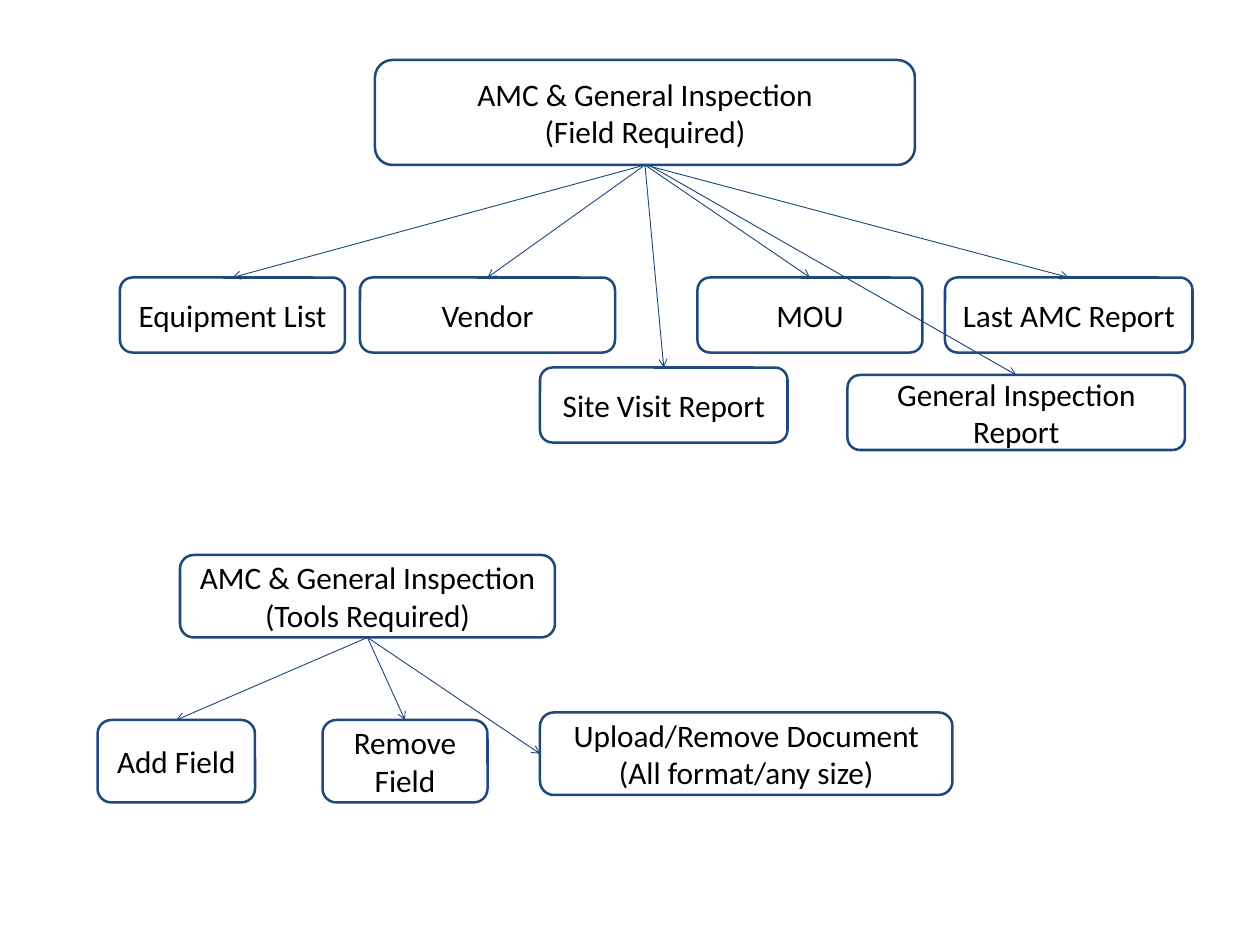
from dataclasses import dataclass

from pptx import Presentation
from pptx.dml.color import RGBColor
from pptx.enum.shapes import MSO_CONNECTOR as Connector, MSO_SHAPE as Preset
from pptx.enum.text import MSO_ANCHOR as Anchor, PP_ALIGN as Align
from pptx.oxml.ns import qn
from pptx.shapes.autoshape import Shape
from pptx.slide import Slide
from pptx.util import Pt
from lxml.etree import SubElement

TOP, LEFT, BOTTOM = 0, 1, 2


@dataclass(frozen=True)
class Theme:
    outline: RGBColor = RGBColor(0x1F, 0x49, 0x7D)
    fill: RGBColor = RGBColor(0xFF, 0xFF, 0xFF)
    text: RGBColor = RGBColor(0, 0, 0)
    font: str = "Calibri"
    text_size: float = 25
    box_line: float = 2
    arrow_line: float = 0.75


@dataclass(frozen=True)
class Box:
    lines: tuple[str, ...]
    left: float
    top: float
    width: float
    height: float
    entry_side: int = TOP
    start_shift: float = 0


@dataclass(frozen=True)
class Tree:
    root: Box
    children: tuple[Box, ...]


THEME = Theme()
FIELD_TOP, FIELD_HEIGHT = 222, 60
TOOL_TOP, TOOL_HEIGHT = 576, 66

TREES = (
    Tree(
        Box(("AMC & General Inspection", "(Field Required)"), 300, 48, 432, 84),
        (
            Box(("Equipment List",), 96, FIELD_TOP, 180, FIELD_HEIGHT),
            Box(("Vendor",), 288, FIELD_TOP, 204, FIELD_HEIGHT),
            Box(("MOU",), 558, FIELD_TOP, 180, FIELD_HEIGHT),
            Box(("Last AMC Report",), 756, FIELD_TOP, 198, FIELD_HEIGHT),
            Box(("Site Visit Report",), 432, 294, 198, FIELD_HEIGHT),
            Box(("General Inspection Report",), 678, 300, 270, FIELD_HEIGHT, start_shift=3),
        ),
    ),
    Tree(
        Box(("AMC & General Inspection", "(Tools Required)"), 144, 444, 300, TOOL_HEIGHT),
        (
            Box(("Add Field",), 78, TOOL_TOP, 126, TOOL_HEIGHT),
            Box(("Remove Field",), 258, TOOL_TOP, 132, TOOL_HEIGHT),
            Box(("Upload/Remove Document", "(All format/any size)"), 432, 570, 330, TOOL_HEIGHT,
                entry_side=LEFT),
        ),
    ),
)


def draw_box(slide: Slide, box: Box) -> Shape:
    shape = slide.shapes.add_shape(
        Preset.ROUNDED_RECTANGLE, Pt(box.left), Pt(box.top), Pt(box.width), Pt(box.height))
    shape.shadow.inherit = False
    shape.fill.solid()
    shape.fill.fore_color.rgb = THEME.fill
    shape.line.color.rgb = THEME.outline
    shape.line.width = Pt(THEME.box_line)
    frame = shape.text_frame
    frame.word_wrap = True
    frame.vertical_anchor = Anchor.MIDDLE
    frame.margin_left = frame.margin_right = Pt(10)
    frame.margin_top = frame.margin_bottom = Pt(5)
    frame.text = "\n".join(box.lines)
    for paragraph in frame.paragraphs:
        paragraph.alignment = Align.CENTER
        paragraph.font.name = THEME.font
        paragraph.font.size = Pt(THEME.text_size)
        paragraph.font.color.rgb = THEME.text
    return shape


def draw_arrow(slide: Slide, parent: Shape, child: Shape, box: Box) -> None:
    start_x = parent.left + parent.width // 2 + Pt(box.start_shift)
    start_y = parent.top + parent.height
    arrow = slide.shapes.add_connector(
        Connector.STRAIGHT, start_x, start_y, child.left, child.top)
    if not box.start_shift:
        arrow.begin_connect(parent, BOTTOM)
    arrow.end_connect(child, box.entry_side)
    arrow.line.color.rgb = THEME.outline
    arrow.line.width = Pt(THEME.arrow_line)
    SubElement(arrow.line._get_or_add_ln(), qn("a:tailEnd"), type="arrow")
    SubElement(arrow._element.spPr, qn("a:effectLst"))


def draw_tree(slide: Slide, tree: Tree) -> None:
    parent = draw_box(slide, tree.root)
    children = [draw_box(slide, box) for box in tree.children]
    for child, box in zip(children, tree.children):
        draw_arrow(slide, parent, child, box)


def main() -> None:
    presentation = Presentation()
    presentation.slide_width = Pt(1008)
    presentation.slide_height = Pt(756)
    slide = presentation.slides.add_slide(presentation.slide_layouts[6])
    for tree in TREES:
        draw_tree(slide, tree)
    presentation.save("out.pptx")


if __name__ == "__main__":
    main()
